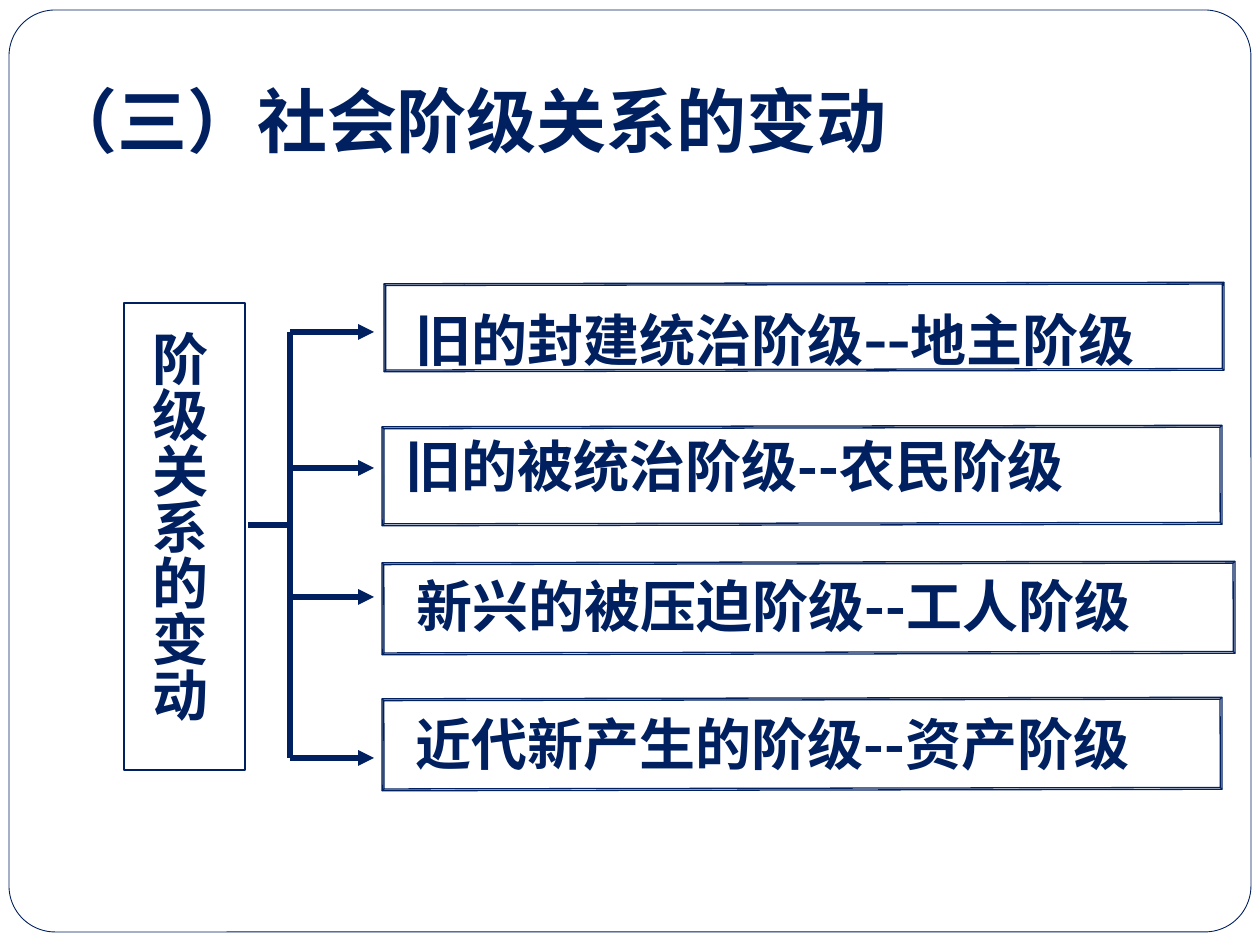
from pptx import Presentation
from pptx.dml.color import RGBColor
from pptx.enum.shapes import MSO_CONNECTOR, MSO_SHAPE
from pptx.enum.text import MSO_ANCHOR
from pptx.oxml.ns import qn
from pptx.util import Emu, Pt
from lxml.etree import SubElement

NAVY = RGBColor(0x00, 0x20, 0x60)
WHITE = RGBColor(0xFF, 0xFF, 0xFF)
JP, SC, LATIN = "Noto Sans CJK JP", "Noto Sans CJK SC", "Times New Roman"

TITLE = "（三）社会阶级关系的变动"
TOPIC = "阶级关系的变动"
CLASSES = [
    {"runs": [("旧的封建统治阶级", 32, JP), ("--", 40, LATIN), ("地主阶级", 32, JP)],
     "frame": (384, 283, 840, 88), "text": (403, 295, 809, 68), "arrow": 332},
    {"runs": [("旧的被统治阶级--农民阶级", 32, JP)],
     "frame": (382, 426, 840, 99), "text": (393, 433, 809, 74), "arrow": 468},
    {"runs": [("新兴的被压迫阶级--工人阶级", 32, JP)],
     "frame": (382, 562, 853, 92), "text": (404, 573, 821, 55), "arrow": 597},
    {"runs": [("近代新产生的阶级--资产阶级", 32, JP)],
     "frame": (382, 698, 840, 92), "text": (403, 711, 809, 55), "arrow": 758},
]
TRUNK_X, ARROW_X, STEM_X, STEM_Y = 290, 374, 248, 525


def px(n):
    return Emu(round(n * 914400 / 126))


def add_box(s, kind, box, line=None, adj=None):
    sp = s.shapes.add_shape(kind, *map(px, box))
    sp.shadow.inherit = False
    sp.fill.solid()
    sp.fill.fore_color.rgb = WHITE
    if line:
        sp.line.color.rgb = NAVY
        sp.line.width = Pt(line)
    else:
        sp.line.fill.background()
    if adj:
        sp.adjustments[0] = adj
    return sp


def write(sp, runs, spacing=None, anchor=MSO_ANCHOR.TOP):
    tf = sp.text_frame
    tf.word_wrap = True
    tf.vertical_anchor = anchor
    p = tf.paragraphs[0]
    p.alignment = 1
    p.line_spacing = spacing
    p.font.bold = True
    p.font.color.rgb = NAVY
    for text, size, face in runs:
        r = p.add_run()
        r.text = text
        r.font.size = Pt(size)
        r.font.bold = True
        r.font.color.rgb = NAVY
        r.font.name = face
        SubElement(r.font._element, qn("a:ea")).set("typeface", face)
    return tf


def add_line(s, x1, y1, x2, y2, arrow=False):
    c = s.shapes.add_connector(MSO_CONNECTOR.STRAIGHT, *map(px, (x1, y1, x2, y2)))
    c.line.color.rgb = NAVY
    c.line.width = Pt(3)
    if arrow:
        SubElement(c.line._get_or_add_ln(), qn("a:tailEnd")).set("type", "triangle")
    SubElement(c._element.spPr, qn("a:effectLst"))


def main():
    prs = Presentation()
    prs.slide_width, prs.slide_height = px(1260), px(945)
    s = prs.slides.add_slide(prs.slide_layouts[6])

    add_box(s, MSO_SHAPE.ROUNDED_RECTANGLE, (9, 10, 1242, 922), 0.5, 0.05)

    topic = add_box(s, MSO_SHAPE.RECTANGLE, (124, 303, 121, 467), 0.75)
    tf = write(topic, [(TOPIC, 32, SC)], 1.4)
    tf.margin_top = px(28)
    tf._txBody.bodyPr.set("vert", "eaVert")

    arrows = [c["arrow"] for c in CLASSES]
    add_line(s, STEM_X, STEM_Y, TRUNK_X, STEM_Y)
    add_line(s, TRUNK_X, arrows[0], TRUNK_X, arrows[-1])
    for y in arrows:
        add_line(s, TRUNK_X, y, ARROW_X, y, arrow=True)

    for c in CLASSES:
        frame = add_box(s, MSO_SHAPE.BEVEL, c["frame"], 0.75, 0.02)
        frame.rotation = 179.9
        label = add_box(s, MSO_SHAPE.RECTANGLE, c["text"])
        write(label, c["runs"], 0.9)

    title = s.shapes.add_textbox(*map(px, (35, 16, 1071, 158)))
    tf = write(title, [(TITLE, 40, JP)], anchor=MSO_ANCHOR.BOTTOM)
    tf.margin_bottom = px(13)

    prs.save("out.pptx")


if __name__ == "__main__":
    main()
